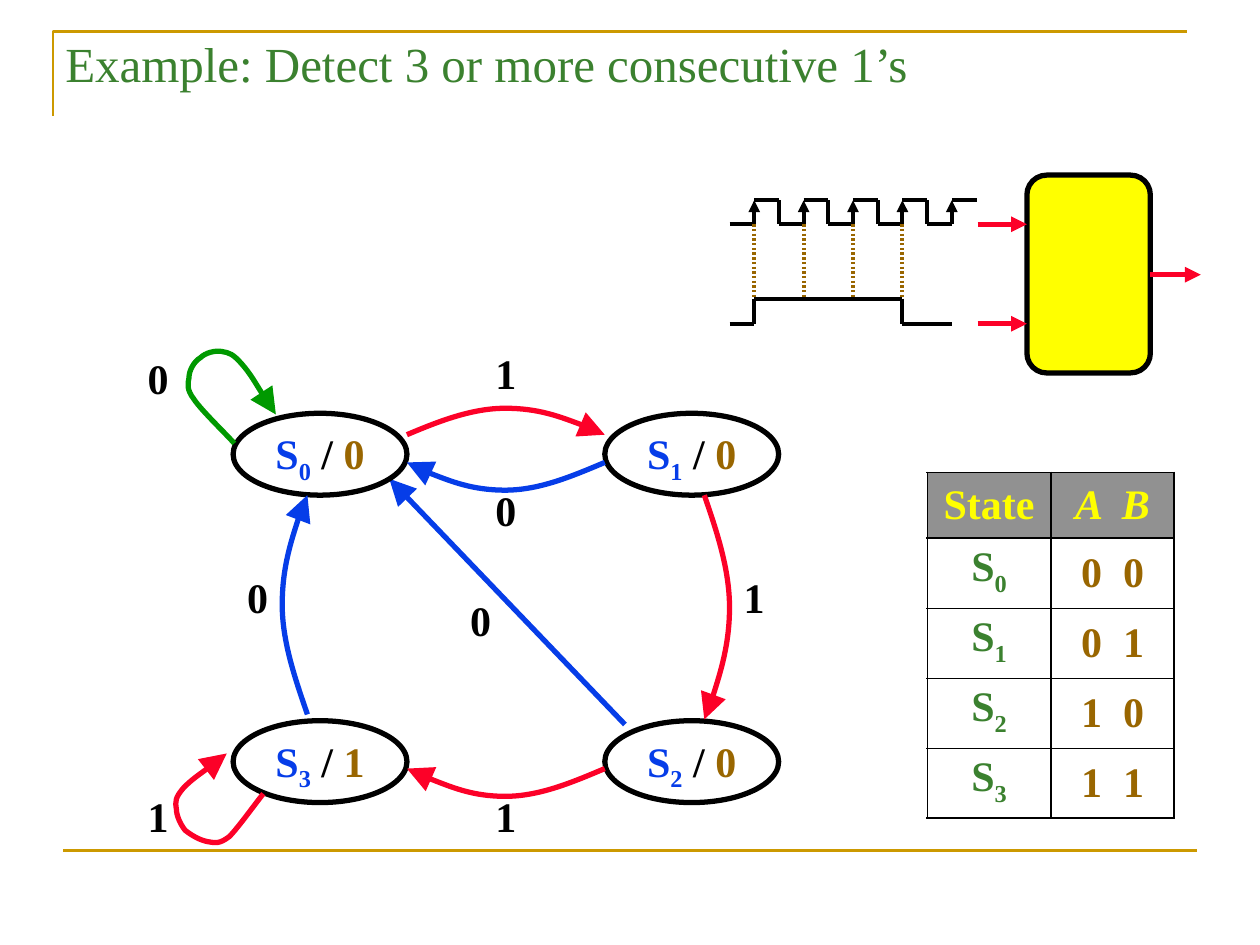
from lxml import etree
from pptx import Presentation
from pptx import util as u
from pptx.dml.color import RGBColor
from pptx.enum import shapes, text
from pptx.oxml import ns

BLACK = RGBColor(0, 0, 0)
WHITE = RGBColor(0xFF, 0xFF, 0xFF)
GOLD = RGBColor(0xCC, 0x99, 0x00)
GREEN = RGBColor(0x3B, 0x81, 0x2F)
LOOP_GREEN = RGBColor(0x00, 0x99, 0x00)
YELLOW = RGBColor(0xFF, 0xFF, 0x00)
RED = RGBColor(0xFC, 0x01, 0x28)
BLUE = RGBColor(0x06, 0x3D, 0xE8)
BROWN = RGBColor(0x99, 0x66, 0x00)
GRAY = RGBColor(0x91, 0x91, 0x91)


def stroke(s, color, width, head=None):
    s.line.color.rgb = color
    s.line.width = u.Pt(width)
    if head:
        etree.SubElement(s.line._get_or_add_ln(), ns.qn("a:tailEnd"), type="triangle", w=head, len=head)
    etree.SubElement(s._element.spPr, ns.qn("a:effectLst"))


def write(tf, runs, align=text.PP_ALIGN.CENTER, spacing=0.9, **extra):
    p = tf.paragraphs[0]
    p.alignment = align
    p.line_spacing = spacing
    for words, color, base in runs:
        r = p.add_run()
        r.text = words
        font = {"name": "Times New Roman", "size": u.Pt(24), "bold": True, **extra}
        for key, value in font.items():
            setattr(r.font, key, value)
        r.font.color.rgb = color
        if base:
            r._r.get_or_add_rPr().set("baseline", str(base))


prs = Presentation()
prs.slide_width, prs.slide_height = u.Inches(10), u.Inches(7.5)
s = prs.slides.add_slide(prs.slide_layouts[6])

fb = s.shapes.build_freeform(u.Inches(0.42), u.Inches(0.92))
fb.add_line_segments([(u.Inches(x), u.Inches(0.25)) for x in (0.42, 9.42)], close=False)
sp = fb.convert_to_shape()
sp.fill.background()
stroke(sp, GOLD, 1.5)

title = s.shapes.add_textbox(u.Inches(0.42), u.Inches(0.22), u.Inches(8.42), u.Inches(0.78))
title.text_frame.word_wrap = True
write(title.text_frame, [("Example: Detect 3 or more consecutive 1’s", GREEN, 0)],
      text.PP_ALIGN.LEFT, 1.0, size=u.Pt(28), bold=False)

box = s.shapes.add_shape(shapes.MSO_SHAPE.ROUNDED_RECTANGLE,
                         u.Inches(8.15), u.Inches(1.39), u.Inches(0.98), u.Inches(1.57))
box.adjustments[0] = 0.16
box.fill.solid()
box.fill.fore_color.rgb = YELLOW
stroke(box, BLACK, 3)

lines = [
    (0.5, 6.75, 9.5, 6.75, GOLD, 1.5, None),
    (9.13, 2.18, 9.53, 2.18, RED, 3, "med"),
    (7.76, 1.78, 8.15, 1.78, RED, 3, "med"),
    (7.76, 2.57, 8.15, 2.57, RED, 3, "med"),
    (4.96, 5.75, 3.09, 3.8, BLUE, 3, "lg"),
]
step = 0.196
edges = [5.79 + step * i for i in range(11)]
low, high = 1.78, 1.59
for i in range(5):
    x0, x1, x2 = edges[2 * i:2 * i + 3]
    lines += [(x0, low, x1, low, BLACK, 2.25, None),
              (x1, low, x1, high, BLACK, 2.25, "med"),
              (x1, high, x2, high, BLACK, 2.25, None)]
    if i < 4:
        lines.append((x2, high, x2, low, BLACK, 2.25, None))
    if i < 3:
        lines.append((x1, 2.37, edges[2 * i + 3], 2.37, BLACK, 2.25, None))
rise, fall = edges[1], edges[7]
lines += [(edges[0], 2.57, rise, 2.57, BLACK, 2.25, None),
          (rise, 2.37, rise, 2.57, BLACK, 2.25, None),
          (fall, 2.37, fall, 2.57, BLACK, 2.25, None),
          (fall, 2.57, edges[9], 2.57, BLACK, 2.25, None)]
guides = [(x, 1.78, x, 2.37, BROWN, 2.25, None) for x in edges[1:8:2]]
for x1, y1, x2, y2, color, width, head in lines + guides:
    cn = s.shapes.add_connector(shapes.MSO_CONNECTOR.STRAIGHT,
                                u.Inches(x1), u.Inches(y1), u.Inches(x2), u.Inches(y2))
    stroke(cn, color, width, head)
    if color == BROWN:
        dash = etree.SubElement(cn.line._get_or_add_ln(), ns.qn("a:custDash"))
        etree.SubElement(dash, ns.qn("a:ds"), d="60000", sp="60000")

for x, y, state, output in [(1.85, 3.28, "0", "0"), (4.8, 3.28, "1", "0"),
                            (1.85, 5.72, "3", "1"), (4.8, 5.72, "2", "0")]:
    sp = s.shapes.add_shape(shapes.MSO_SHAPE.OVAL, u.Inches(x), u.Inches(y), u.Inches(1.38), u.Inches(0.65))
    sp.fill.background()
    stroke(sp, BLACK, 3)
    tf = sp.text_frame
    tf.vertical_anchor = text.MSO_ANCHOR.MIDDLE
    tf.margin_left = tf.margin_right = tf.margin_top = tf.margin_bottom = 0
    write(tf, [("S", BLUE, 0), (state, BLUE, -25000), (" / ", BLACK, 0), (output, BROWN, 0)])

curves = [
    (LOOP_GREEN, [(1.86, 3.52), (1.81, 3.46), (1.6, 3.26), (1.54, 3.17), (1.48, 3.09), (1.49, 3.05),
                  (1.5, 3), (1.5, 2.94), (1.54, 2.87), (1.59, 2.84), (1.63, 2.8), (1.71, 2.78),
                  (1.76, 2.79), (1.82, 2.8), (1.85, 2.81), (1.92, 2.89), (1.99, 2.97), (2.13, 3.21),
                  (2.19, 3.29)]),
    (BLUE, [(2.44, 5.67), (2.34, 5.38), (2.24, 5.09), (2.24, 4.8), (2.24, 4.51), (2.37, 4.07), (2.44, 3.93)]),
    (RED, [(5.59, 3.93), (5.69, 4.22), (5.79, 4.52), (5.79, 4.82), (5.79, 5.11), (5.66, 5.56), (5.59, 5.71)]),
    (RED, [(4.8, 6.1), (4.54, 6.21), (4.28, 6.32), (4.01, 6.32), (3.75, 6.32), (3.36, 6.17), (3.23, 6.1)]),
    (RED, [(2.09, 6.3), (2.04, 6.36), (1.89, 6.57), (1.82, 6.64), (1.74, 6.7), (1.71, 6.69),
           (1.65, 6.68), (1.59, 6.67), (1.52, 6.63), (1.47, 6.59), (1.43, 6.54), (1.4, 6.47),
           (1.4, 6.42), (1.39, 6.36), (1.39, 6.33), (1.46, 6.25), (1.53, 6.18), (1.73, 6.04),
           (1.8, 5.98)]),
    (BLUE, [(4.8, 3.67), (4.54, 3.78), (4.28, 3.89), (4.01, 3.89), (3.75, 3.89), (3.36, 3.75), (3.23, 3.67)]),
    (RED, [(3.23, 3.45), (3.49, 3.34), (3.75, 3.24), (4.01, 3.24), (4.28, 3.24), (4.67, 3.38), (4.8, 3.45)]),
]
for color, pts in curves:
    start, *rest = [(u.Inches(x), u.Inches(y)) for x, y in pts]
    fb = s.shapes.build_freeform(*start)
    fb.add_line_segments(rest, close=False)
    sp = fb.convert_to_shape()
    segments = sp._element.findall(".//" + ns.qn("a:lnTo"))
    for k in range(0, len(segments), 3):
        bezier = etree.Element(ns.qn("a:cubicBezTo"))
        segments[k].addprevious(bezier)
        for segment in segments[k:k + 3]:
            bezier.append(segment[0])
            segment.getparent().remove(segment)
    sp.fill.background()
    stroke(sp, color, 3, "lg")

for x, y, label in [(1.06, 2.84, "0"), (5.79, 4.58, "1"), (3.82, 6.32, "1"), (1.85, 4.58, "0"),
                    (3.62, 4.76, "0"), (1.06, 6.32, "1"), (3.82, 3.89, "0"), (3.82, 2.8, "1")]:
    tf = s.shapes.add_textbox(u.Inches(x), u.Inches(y), u.Inches(0.39), u.Inches(0.36)).text_frame
    tf.word_wrap = True
    tf.auto_size = text.MSO_AUTO_SIZE.SHAPE_TO_FIT_TEXT
    tf.margin_left = tf.margin_right = tf.margin_top = tf.margin_bottom = 0
    write(tf, [(label, BLACK, 0)])

codes = ["A  B", "0  0", "0  1", "1  0", "1  1"]
table = s.shapes.add_table(5, 2, u.Inches(7.36), u.Inches(3.75), u.Inches(1.95), u.Inches(2.6)).table
table.first_row = table.horz_banding = False
for col in table.columns:
    col.width = u.Inches(0.98)
for i, code in enumerate(codes):
    table.rows[i].height = u.Inches(0.52)
    for j in range(2):
        c = table.cell(i, j)
        borders = {"L": (1.08, 1.47)[j], "R": (1.47, 1.08)[j],
                   "T": {0: 1.08, 1: 1.47}.get(i, 0.45), "B": {0: 1.47, 4: 1.08}.get(i, 0.45)}
        for side, width in borders.items():
            ln = etree.SubElement(c._tc.get_or_add_tcPr(), ns.qn("a:ln" + side), w=str(u.Pt(width)))
            fill = etree.SubElement(ln, ns.qn("a:solidFill"))
            etree.SubElement(fill, ns.qn("a:srgbClr"), val=str(BLACK))
        c.fill.solid()
        c.fill.fore_color.rgb = WHITE if i else GRAY
        if i == 0 or j == 1:
            c.vertical_anchor = text.MSO_ANCHOR.MIDDLE
        if j:
            runs = [(code, BROWN if i else YELLOW, 0)]
        else:
            runs = [("S", GREEN, 0), (str(i - 1), GREEN, -25000)] if i else [("State", YELLOW, 0)]
        write(c.text_frame, runs, spacing=1.0, italic=(i == 0 and j == 1))

prs.save("out.pptx")
